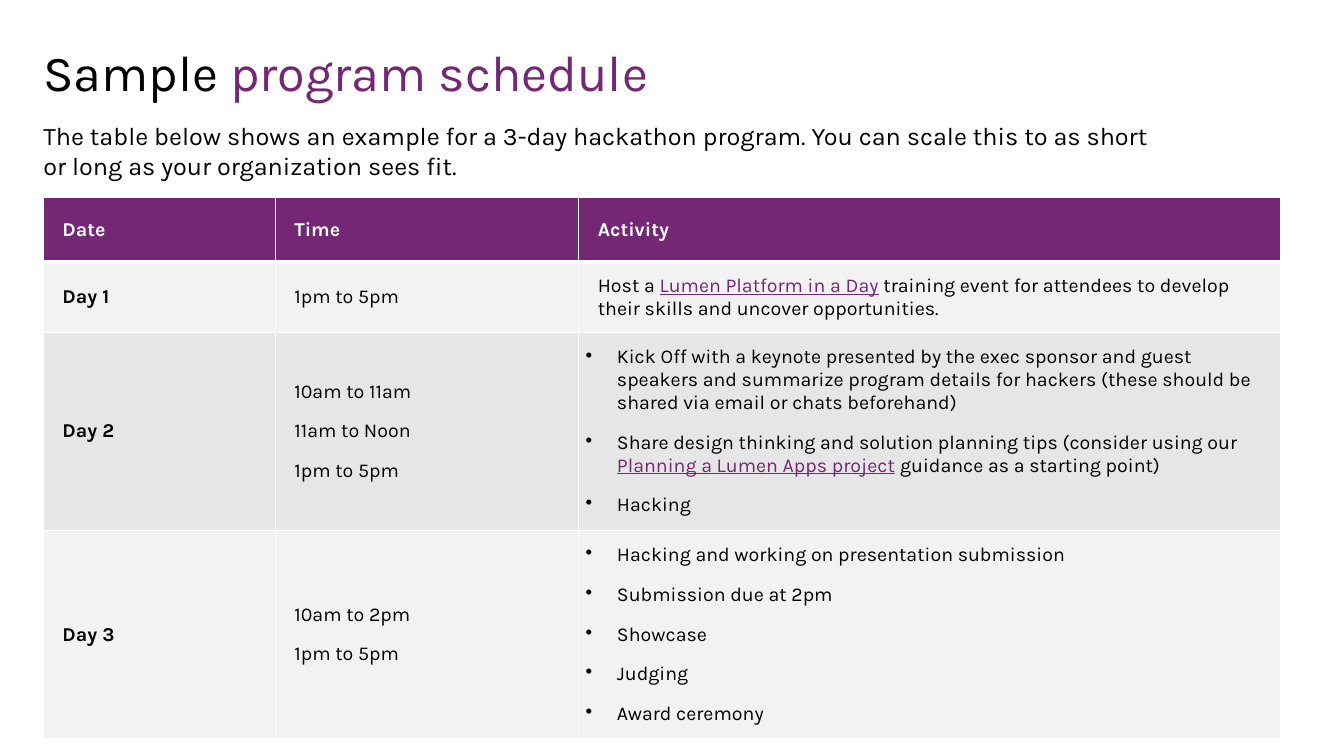
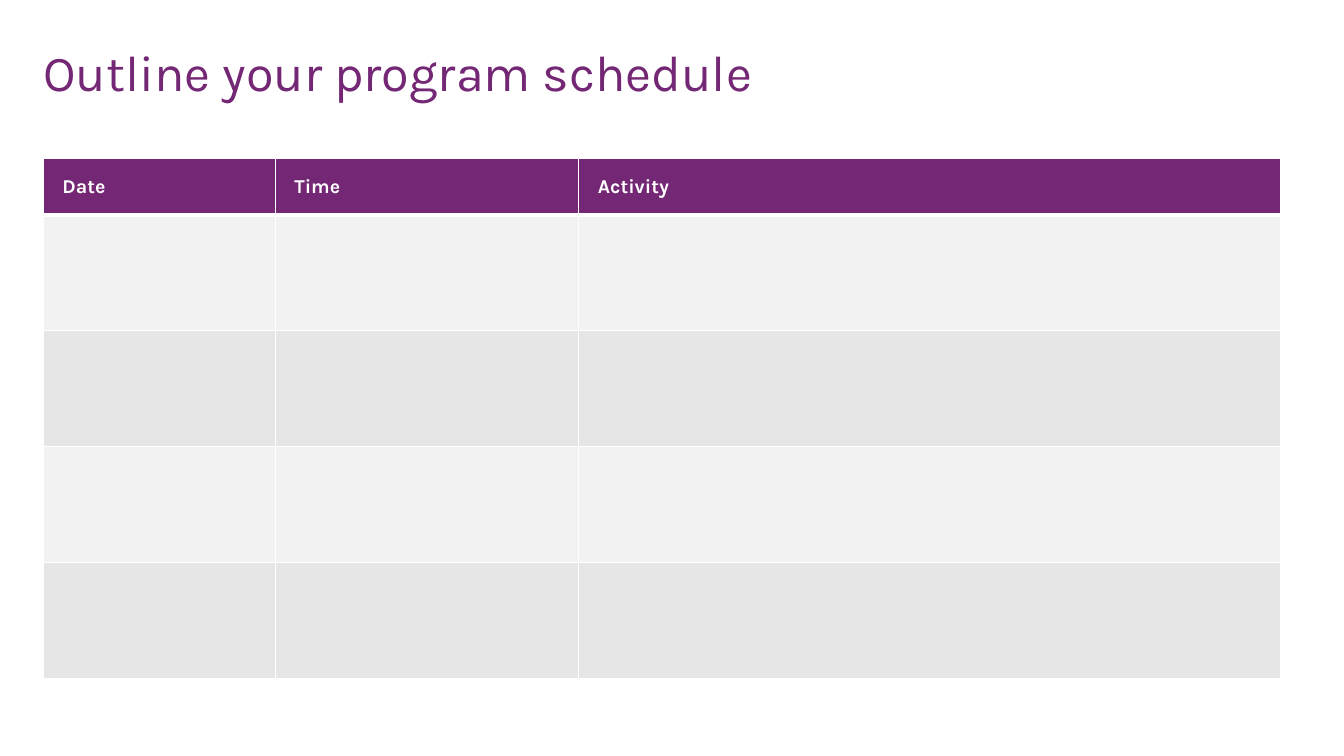
import pptx
import pptx.util
import pptx.dml.color
import pptx.enum.text
import pptx.oxml
import pptx.oxml.ns

Inches, Pt = pptx.util.Inches, pptx.util.Pt
RGBColor = pptx.dml.color.RGBColor
MSO_ANCHOR = pptx.enum.text.MSO_ANCHOR

# Shared style
FONT = "Karla"
PURPLE = RGBColor(0x74, 0x27, 0x74)
BLACK = RGBColor(0, 0, 0)
WHITE = RGBColor(0xFF, 0xFF, 0xFF)
BANDS = (RGBColor(0xF2, 0xF2, 0xF2), RGBColor(0xE6, 0xE6, 0xE6))
LEFT = 0.43
COLUMNS = (2.3, 3.01, 6.96)
HEADER = ("Date", "Time", "Activity")

# Table content: a paragraph is a string, or a list of (text, is_link) runs
SCHEDULE = [
    (["Day 1"],
     ["1pm to 5pm"],
     [[("Host a ", False), ("Lumen Platform in a Day", True),
       (" training event for attendees to develop their skills and "
        "uncover opportunities.", False)]]),
    (["Day 2"],
     ["10am to 11am", "11am to Noon", "1pm to 5pm"],
     ["Kick Off with a keynote presented by the exec sponsor and guest speakers "
      "and summarize program details for hackers (these should be shared via "
      "email or chats beforehand)",
      [("Share design thinking and solution planning tips (consider using our ", False),
       ("Planning a Lumen Apps project", True),
       (" guidance as a starting point)", False)],
      "Hacking"]),
    (["Day 3"],
     ["10am to 2pm", "1pm to 5pm"],
     ["Hacking and working on presentation submission", "Submission due at 2pm",
      "Showcase", "Judging", "Award ceremony"]),
]


def add_run(p, text, size=14, color=BLACK, bold=False, underline=False):
    r = p.add_run()
    r.text = text
    r.font.name = FONT
    r.font.size = Pt(size)
    r.font.color.rgb = color
    r.font.bold = bold
    r.font.underline = underline


def clear_margins(tf):
    tf.margin_left = tf.margin_right = tf.margin_top = tf.margin_bottom = 0
    tf.word_wrap = True
    tf.auto_size = pptx.enum.text.MSO_AUTO_SIZE.SHAPE_TO_FIT_TEXT


def add_title(slide, *parts):
    """Place the title, given as (text, colour) parts."""
    sp = slide.shapes.title
    sp.left, sp.top = Inches(LEFT), Inches(0.41)
    sp.width, sp.height = Inches(12.47), Inches(0.61)
    tf = sp.text_frame
    clear_margins(tf)
    tf.vertical_anchor = MSO_ANCHOR.TOP
    p = tf.paragraphs[0]
    p.alignment = pptx.enum.text.PP_ALIGN.LEFT
    for text, color in parts:
        add_run(p, text, size=36, color=color)


def add_intro(slide, text, top):
    sp = slide.shapes.add_textbox(Inches(LEFT), Inches(top), Inches(11.04), Inches(0.61))
    clear_margins(sp.text_frame)
    add_run(sp.text_frame.paragraphs[0], text, size=18)


def set_borders(cell, **widths):
    """Draw white cell borders, widths in points by side (L, R, T, B)."""
    tcPr = cell._tc.get_or_add_tcPr()
    for side in "LRTB":
        tcPr.append(pptx.oxml.parse_xml(
            f'<a:ln{side} {pptx.oxml.ns.nsdecls("a")} w="{Pt(widths.get(side, 1))}">'
            f'<a:solidFill><a:srgbClr val="{WHITE}"/></a:solidFill></a:ln{side}>'))


def fill_cell(cell, paragraphs, bulleted=False, **fmt):
    tf = cell.text_frame
    for i, content in enumerate(paragraphs):
        p = tf.add_paragraph() if i else tf.paragraphs[0]
        pPr = p._p.get_or_add_pPr()
        pPr.set("marL", str(Inches(0.31 if bulleted else 0.12)))
        pPr.set("indent", str(Inches(-0.31 if bulleted else 0)))
        if bulleted:
            pPr.append(pptx.oxml.parse_xml(
                f'<a:buChar {pptx.oxml.ns.nsdecls("a")} char="•"/>'))
        if i:
            p.space_before = Pt(12)
        runs = [(content, False)] if isinstance(content, str) else content
        for text, is_link in runs:
            style = dict(color=PURPLE, underline=True) if is_link else fmt
            add_run(p, text, **style)


def add_schedule(slide, top, heights, rows=()):
    """Draw the schedule table: a header row, then banded rows."""
    table = slide.shapes.add_table(
        len(heights), len(COLUMNS), Inches(LEFT), Inches(top),
        Inches(sum(COLUMNS)), Inches(sum(heights))).table
    for column, width in zip(table.columns, COLUMNS):
        column.width = Inches(width)
    for i, height in enumerate(heights):
        table.rows[i].height = Inches(height)
        for cell in table.rows[i].cells:
            cell.margin_left = cell.margin_right = Inches(0.07)
            cell.margin_top = cell.margin_bottom = 0
            cell.vertical_anchor = MSO_ANCHOR.MIDDLE
            # A thick rule separates the header from the body
            set_borders(cell, T=3 if i == 1 else 1, B=3 if i == 0 else 1)
            cell.fill.solid()
            cell.fill.fore_color.rgb = BANDS[(i - 1) % 2] if i else PURPLE
    for j, label in enumerate(HEADER):
        fill_cell(table.cell(0, j), [label], color=WHITE, bold=True)
    for i, (date, times, activities) in enumerate(rows, 1):
        fill_cell(table.cell(i, 0), date, bold=True)
        fill_cell(table.cell(i, 1), times)
        fill_cell(table.cell(i, 2), activities, bulleted=len(activities) > 1)


def sample_slide(prs):
    s = prs.slides.add_slide(prs.slide_layouts[5])
    add_title(s, ("Sample ", BLACK), ("program schedule", PURPLE))
    add_intro(s, "The table below shows an example for a 3-day hackathon program. "
                 "You can scale this to as short or long as your organization sees fit.",
              top=1.19)
    add_schedule(s, 1.96, (0.64, 0.7, 1.96, 2.07), SCHEDULE)


def outline_slide(prs):
    s = prs.slides.add_slide(prs.slide_layouts[5])
    add_title(s, ("Outline your program schedule", PURPLE))
    add_schedule(s, 1.57, (0.56,) + (1.15,) * 4)


def main():
    prs = pptx.Presentation()
    prs.slide_width, prs.slide_height = Inches(13.33), Inches(7.5)
    sample_slide(prs)
    outline_slide(prs)
    prs.save("out.pptx")


if __name__ == "__main__":
    main()
